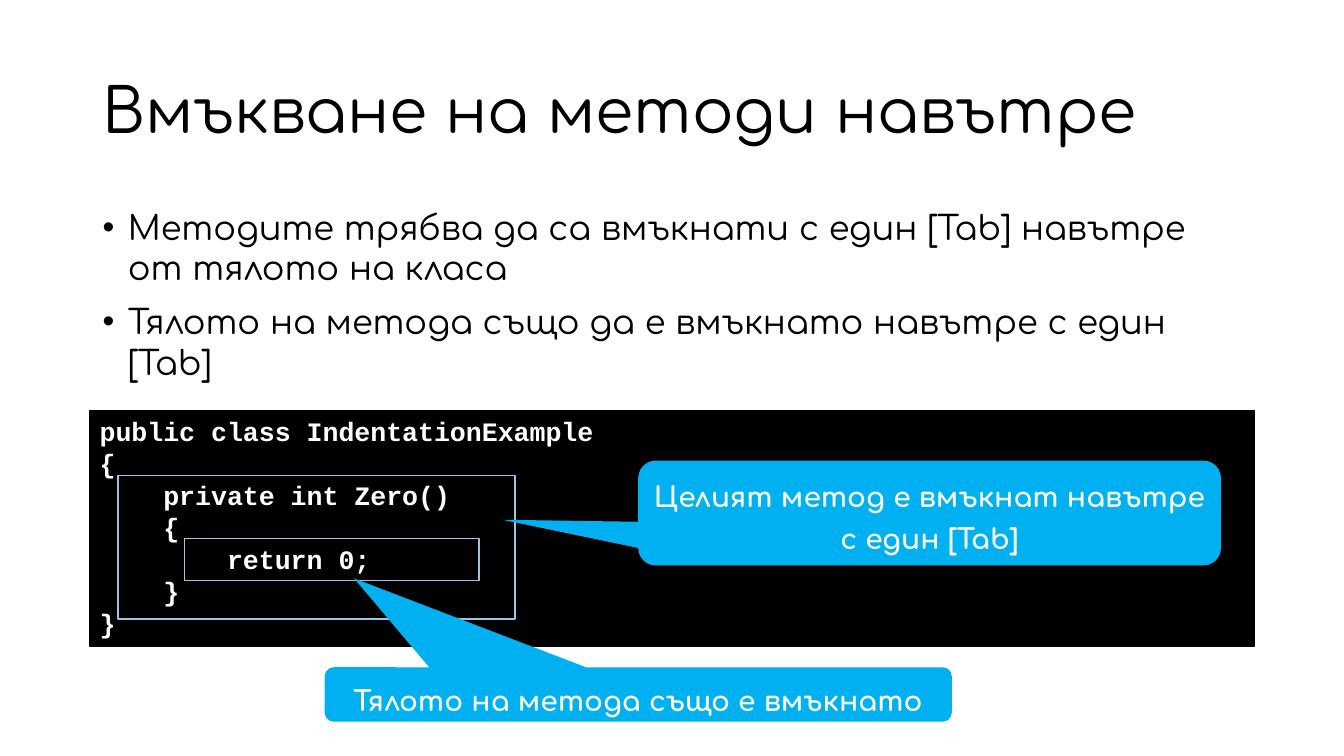
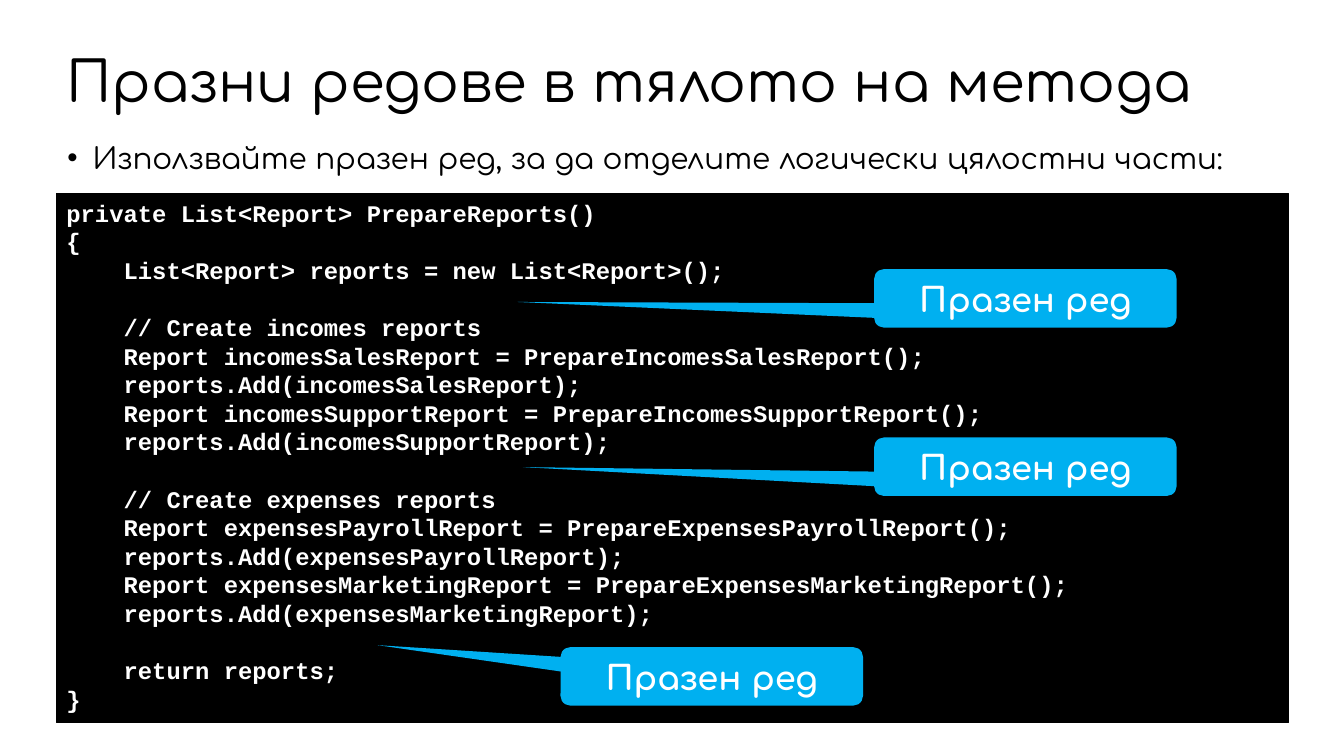
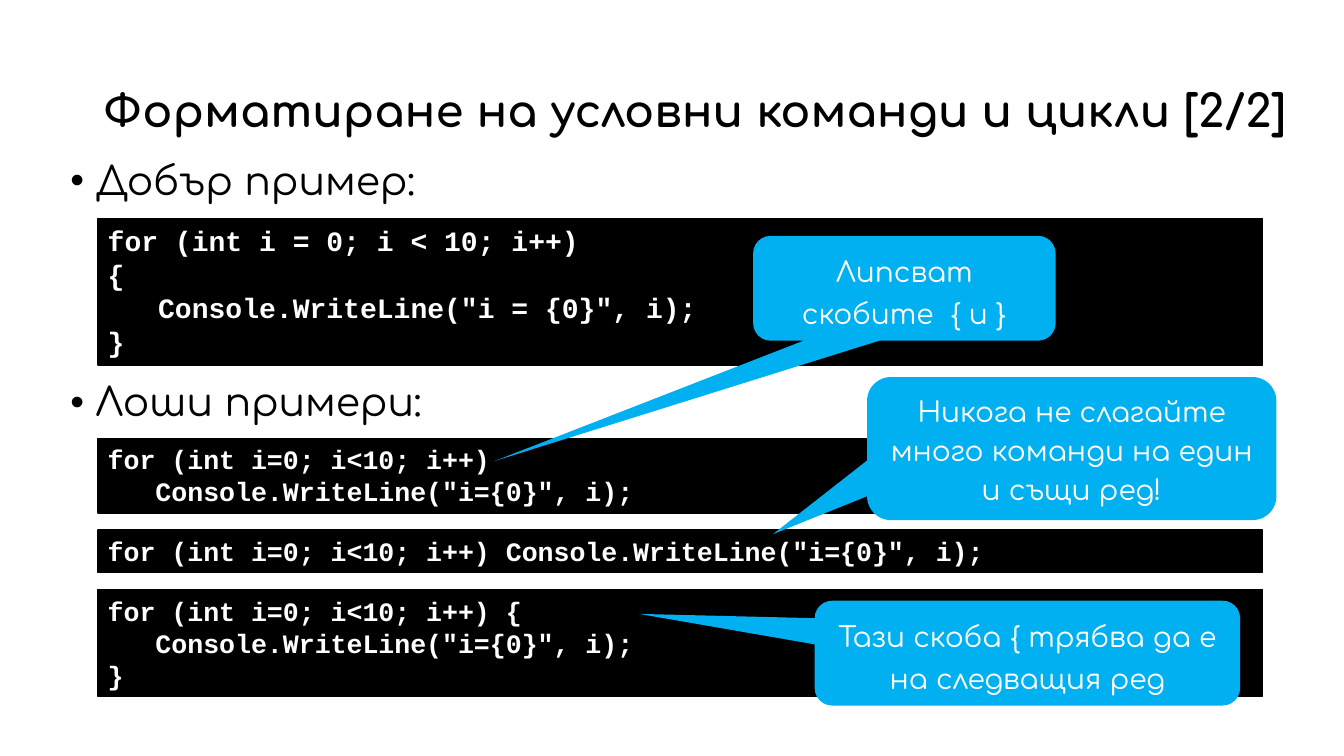
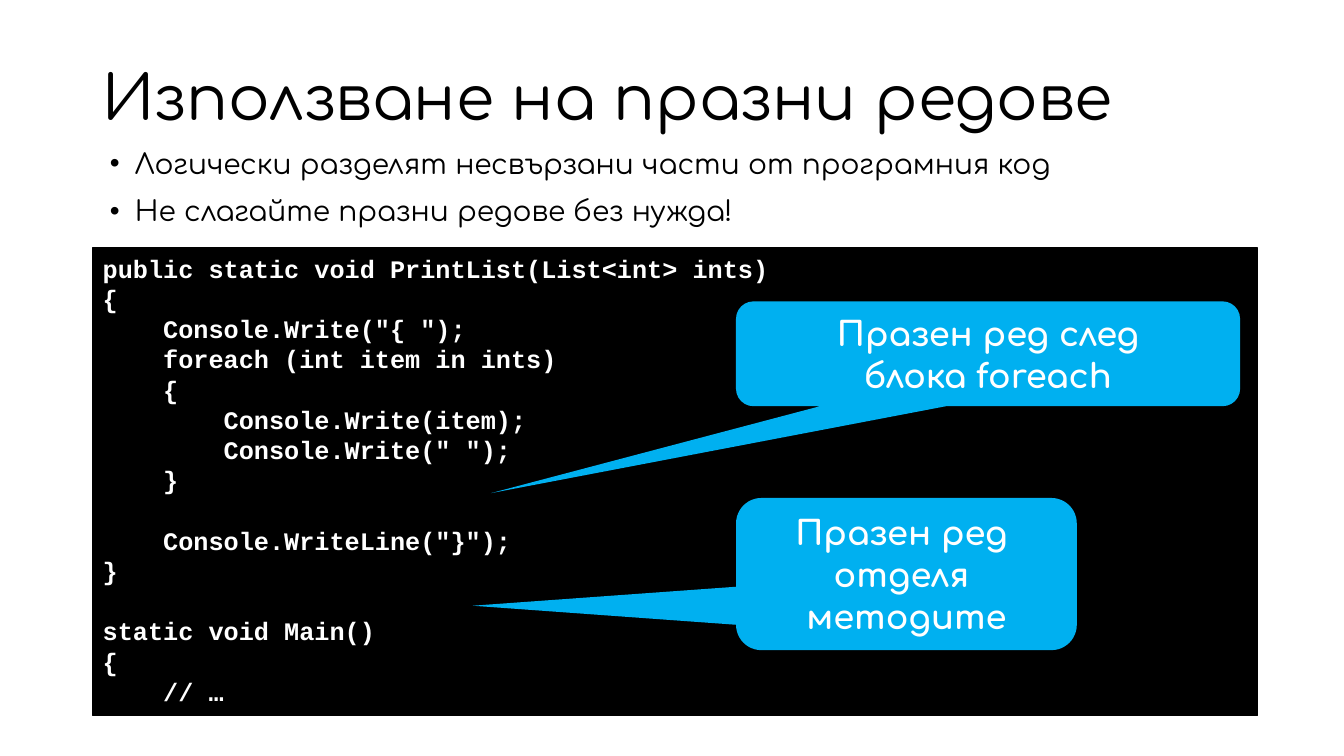
from lxml import etree
from pptx import Presentation
from pptx.dml.color import RGBColor
from pptx.enum.shapes import MSO_SHAPE
from pptx.enum.text import MSO_ANCHOR, PP_ALIGN
from pptx.oxml.ns import qn
from pptx.util import Inches, Pt

RECT = MSO_SHAPE.RECTANGLE
CALLOUT = MSO_SHAPE.ROUNDED_RECTANGULAR_CALLOUT
LEFT, CENTER = PP_ALIGN.LEFT, PP_ALIGN.CENTER
TOP, MIDDLE = MSO_ANCHOR.TOP, MSO_ANCHOR.MIDDLE

SANS, MONO = "Comfortaa", "Courier New"
BLACK, WHITE, CREAM = "000000", "FFFFFF", "F7FFE7"
SKY, PALE = "00B0F0", "9DC3E6"

# Boxes are left, top, width, height in inches.
# bullets: box, size, line spacing, gap before the second one, lines
# codes: box, size, text
# frames: boxes drawn around parts of the code
# notes: box, tip of the callout, size, line spacing, colour, bold, text
SLIDES = [
    {
        "title": ((0.92, 0.4, 11.5, 1.45), 44, False,
                  "Вмъкване на методи навътре"),
        "bullets": ((0.92, 2, 11.5, 2), 24, 1.0, 10, [
            "Методите трябва да са вмъкнати с един [Tab] навътре "
            "от тялото на класа",
            "Тялото на метода също да е вмъкнато навътре с един [Tab]",
        ]),
        "codes": [((0.89, 4.07, 11.55, 2.34), 19, """\
public class IndentationExample
{
    private int Zero()
    {
        return 0;
    }
}""")],
        "frames": [(1.17, 4.72, 3.94, 1.42), (1.83, 5.34, 2.92, 0.42)],
        "notes": [
            ((6.33, 4.57, 5.78, 1.04), (-0.733, 0.064), 20, 30, CREAM, True,
             "Целият метод е вмъкнат навътре с един [Tab]"),
            ((3.22, 6.62, 6.22, 0.54), (-0.453, -2.132), 20, 30, CREAM, True,
             "Тялото на метода също е вмъкнато"),
        ],
    },
    {
        "title": ((0.56, 0.11, 11.5, 1.45), 40, False,
                  "Празни редове в тялото на метода"),
        "bullets": ((0.57, 1.22, 12.2, 0.61), 21, Pt(34), 10, [
            "Използвайте празен ред, за да отделите логически "
            "цялостни части:",
        ]),
        "codes": [((0.56, 1.92, 12.22, 5.25), 17, """\
private List<Report> PrepareReports()
{
    List<Report> reports = new List<Report>();

    // Create incomes reports
    Report incomesSalesReport = PrepareIncomesSalesReport();
    reports.Add(incomesSalesReport);
    Report incomesSupportReport = PrepareIncomesSupportReport();
    reports.Add(incomesSupportReport);

    // Create expenses reports
    Report expensesPayrollReport = PrepareExpensesPayrollReport();
    reports.Add(expensesPayrollReport);
    Report expensesMarketingReport = PrepareExpensesMarketingReport();
    reports.Add(expensesMarketingReport);

    return reports;
}""")],
        "frames": [],
        "notes": [
            ((left, top, 3, 0.58), tip, 24, 30, WHITE, True, "Празен ред")
            for left, top, tip in [(8.67, 2.67, (-1.679, 0.062)),
                                   (8.67, 4.34, (-1.661, 0.007)),
                                   (5.56, 6.42, (-1.105, -0.534))]
        ],
    },
    {
        "title": ((0.92, 0.4, 12.1, 1.45), 32, True,
                  "Форматиране на условни команди и цикли [2/2]"),
        "bullets": ((0.6, 1.55, 11.5, 4.76), 28, 0.9, 128, [
            "Добър пример:",
            "Лоши примери:",
        ]),
        "codes": [
            ((0.97, 2.17, 11.55, 1.45), 20, """\
for (int i = 0; i < 10; i++)
{
   Console.WriteLine("i = {0}", i);
}"""),
            ((0.97, 4.35, 11.55, 0.74), 19, """\
for (int i=0; i<10; i++)
   Console.WriteLine("i={0}", i);"""),
            ((0.97, 5.26, 11.55, 0.42), 19, """\
for (int i=0; i<10; i++) Console.WriteLine("i={0}", i);"""),
            ((0.97, 5.85, 11.55, 1.06), 19, """\
for (int i=0; i<10; i++) {
   Console.WriteLine("i={0}", i);
}"""),
        ],
        "frames": [],
        "notes": [
            ((7.47, 2.34, 3, 1.04), (-1.357, 1.65), 20, 30, WHITE, False,
             "Липсват скобите  { и }"),
            ((8.6, 3.74, 4.06, 1.42), (-0.73, 0.598), 20, 28, WHITE, False,
             "Никога не слагайте много команди на един и същи ред!"),
            ((8.08, 5.96, 4.22, 1.04), (-0.913, -0.374), 20, 30, WHITE, False,
             "Тази скоба { трябва да е на следващия ред"),
        ],
    },
    {
        "title": ((0.92, 0.4, 11.42, 1.2), 44, False,
                  "Използване на празни редове"),
        "bullets": ((0.99, 1.4, 11.28, 0.99), 20, 1.0, 10, [
            "Логически разделят несвързани части от програмния код",
            "Не слагайте празни редове без нужда!",
        ]),
        "codes": [((0.92, 2.46, 11.55, 4.64), 18, """\
public static void PrintList(List<int> ints)
{
    Console.Write("{ ");
    foreach (int item in ints)
    {
        Console.Write(item);
        Console.Write(" ");
    }

    Console.WriteLine("}");
}

static void Main()
{
    // …""")],
        "frames": [],
        "notes": [
            ((7.3, 4.94, 3.38, 1.51), (-1.273, 0.208), 24, 30, WHITE, True,
             "Празен ред \nотделя \nметодите"),
            ((7.3, 2.99, 5, 1.04), (-0.986, 1.329), 24, 30, WHITE, True,
             "Празен ред след\nблока foreach"),
        ],
    },
]


def write(shape, lines, size, color, font=SANS, bold=False, align=LEFT,
          space=1.0, anchor=TOP, bullet=False, gap=0):
    """Fill a shape with one paragraph per line; a newline is a soft break."""
    frame = shape.text_frame
    frame.word_wrap = True
    frame.vertical_anchor = anchor
    for i, line in enumerate(lines):
        para = frame.paragraphs[0] if i == 0 else frame.add_paragraph()
        para.alignment = align
        para.line_spacing = space
        para.space_before = Pt(gap if i else 0)
        if bullet:
            props = para._p.get_or_add_pPr()
            props.set("marL", str(Inches(0.25)))
            props.set("indent", str(-Inches(0.25)))
            etree.SubElement(props, qn("a:buFont")).set("typeface", "Arial")
            etree.SubElement(props, qn("a:buChar")).set("char", "•")
        for j, part in enumerate(line.split("\n")):
            if j:
                para.add_line_break()
            run = para.add_run()
            run.text = part
            run.font.name = font
            run.font.size = Pt(size)
            run.font.bold = bold
            run.font.color.rgb = RGBColor.from_string(color)


def draw(slide, kind, box, fill=None, line=None):
    shape = slide.shapes.add_shape(kind, *map(Inches, box))
    shape.shadow.inherit = False
    if fill:
        shape.fill.solid()
        shape.fill.fore_color.rgb = RGBColor.from_string(fill)
    else:
        shape.fill.background()
    if line:
        shape.line.color.rgb = RGBColor.from_string(line)
        shape.line.width = Pt(1)
    else:
        shape.line.fill.background()
    return shape


prs = Presentation()
prs.slide_width, prs.slide_height = Inches(13.33), Inches(7.5)

for data in SLIDES:
    slide = prs.slides.add_slide(prs.slide_layouts[5])

    box, size, bold, text = data["title"]
    title = slide.shapes.title
    title.left, title.top, title.width, title.height = map(Inches, box)
    write(title, [text], size, BLACK, bold=bold, space=0.9, anchor=MIDDLE)

    box, size, space, gap, lines = data["bullets"]
    body = slide.shapes.add_textbox(*map(Inches, box))
    write(body, lines, size, BLACK, space=space, bullet=True, gap=gap)

    for box, size, text in data["codes"]:
        code = draw(slide, RECT, box, BLACK, BLACK)
        write(code, text.split("\n"), size, WHITE, MONO, True)

    for box in data["frames"]:
        draw(slide, RECT, box, line=PALE)

    for box, tip, size, space, color, bold, text in data["notes"]:
        note = draw(slide, CALLOUT, box, SKY)
        note.adjustments[0], note.adjustments[1] = tip
        write(note, [text], size, color, bold=bold, align=CENTER,
              space=Pt(space))

prs.save("out.pptx")
